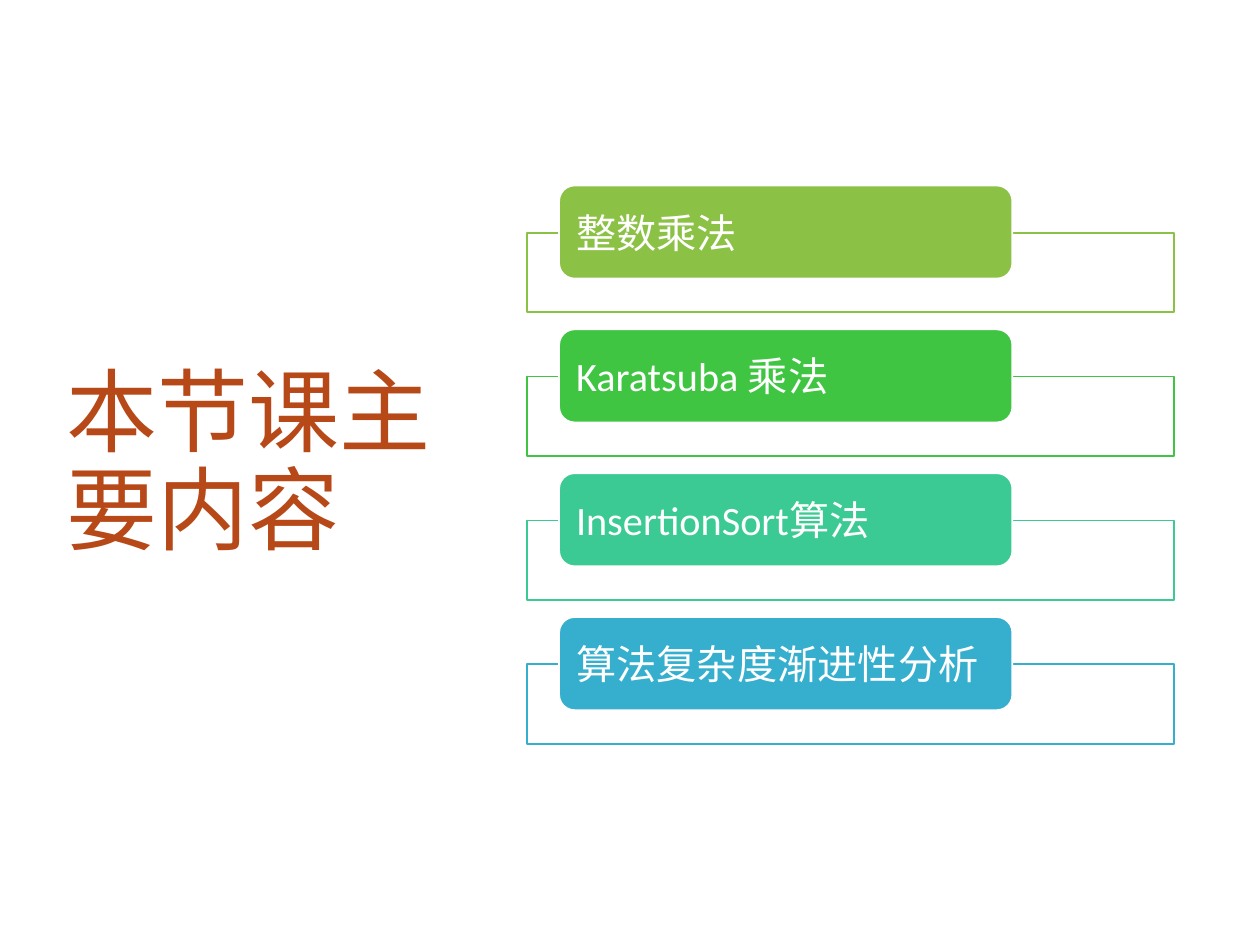
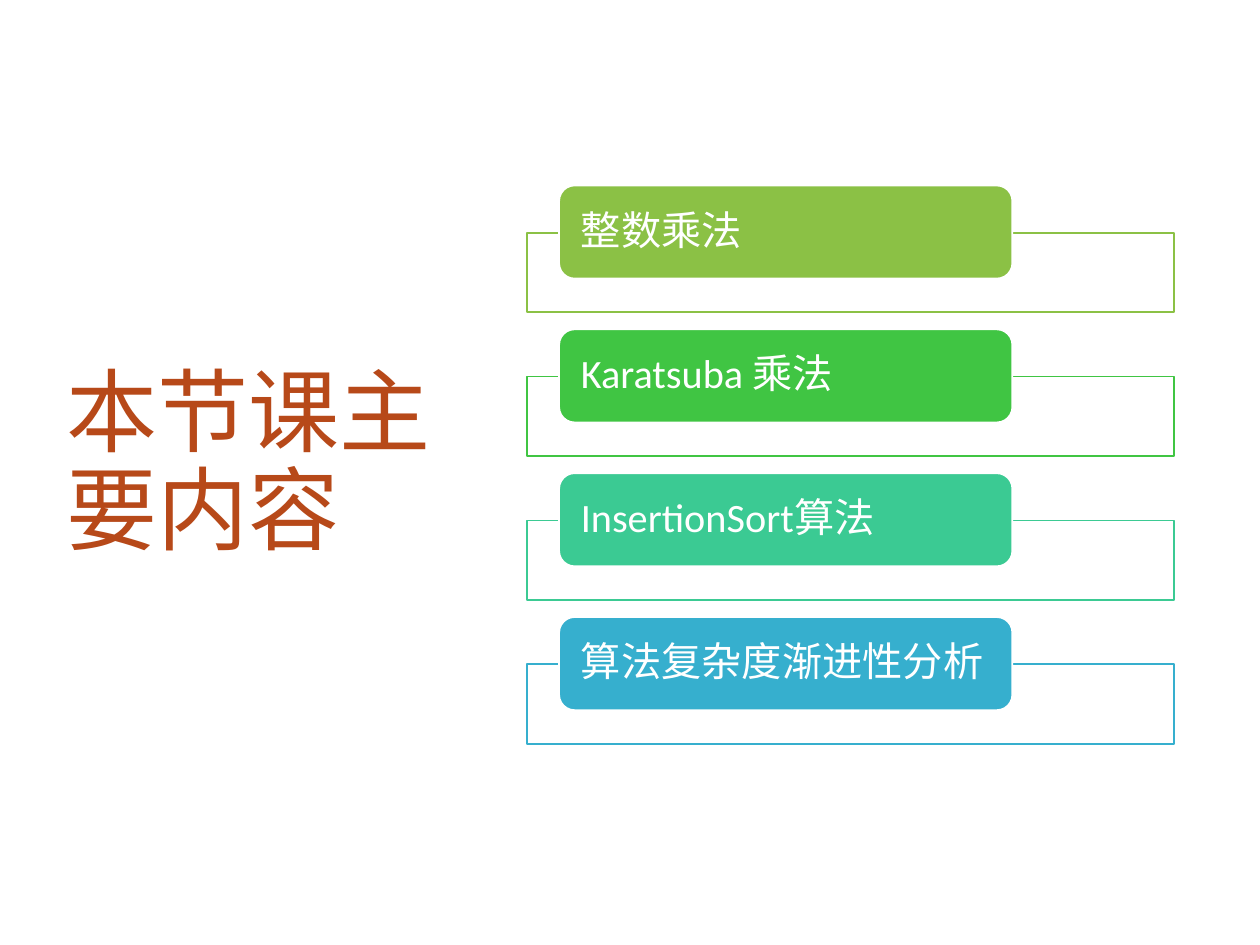
import pptx
import pptx.util
import pptx.dml.color
import pptx.enum.shapes
import pptx.enum.text
import pptx.oxml
import pptx.oxml.ns
import lxml.etree

Pt = pptx.util.Pt
FONT = "Calibri"
WHITE = "FFFFFF"
TITLE_COLOUR = "B74919"
TITLE = "本节课主要内容"
TITLE_BOX = (31, 49, 224.6, 433.4)
AGENDA_BOX = (301, 106, 370, 319)
TOPICS = [
    ("整数乘法", "8BC145"),
    ("Karatsuba 乘法", "40C543"),
    ("InsertionSort算法", "3BCA93"),
    ("算法复杂度渐进性分析", "36AFCE"),
]
TOPIC_PITCH = 82.2
LABEL_HEIGHT = 53.2
LABEL_INDENT = 18.5
LABEL_SHARE = 0.7
FRAME_DROP = 27
FRAME_HEIGHT = 45.4


def colour(hex_string):
    """Return the colour for a hex string."""
    return pptx.dml.color.RGBColor.from_string(hex_string)


def write(shape, text, size, hex_string, line_spacing):
    """Write one left-aligned, vertically centred paragraph into a shape."""
    frame = shape.text_frame
    frame.word_wrap = True
    frame.auto_size = pptx.enum.text.MSO_AUTO_SIZE.NONE
    frame.vertical_anchor = pptx.enum.text.MSO_ANCHOR.MIDDLE
    paragraph = frame.paragraphs[0]
    paragraph.alignment = pptx.enum.text.PP_ALIGN.LEFT
    paragraph.line_spacing = line_spacing
    run = paragraph.add_run()
    run.text = text
    run.font.name = FONT
    run.font.size = Pt(size)
    run.font.color.rgb = colour(hex_string)


def add_box(slide, kind, box, fill, line):
    """Add a filled and outlined preset shape without a shadow."""
    shape = slide.shapes.add_shape(kind, *map(Pt, box))
    shape.shadow.inherit = False
    shape.fill.solid()
    shape.fill.fore_color.rgb = colour(fill)
    shape.line.color.rgb = colour(line)
    shape.line.width = Pt(1)
    return shape


def set_opacity(shape, percent):
    """Set the opacity of a solid shape fill."""
    tag = pptx.oxml.ns.qn("a:srgbClr")
    fill_colour = shape.fill._xPr.find(pptx.oxml.ns.qn("a:solidFill")).find(tag)
    alpha = lxml.etree.SubElement(fill_colour, pptx.oxml.ns.qn("a:alpha"))
    alpha.set("val", str(percent * 1000))


def add_title(slide, box):
    """Place and format the title placeholder."""
    title = slide.shapes.title
    title.left, title.top, title.width, title.height = map(Pt, box)
    write(title, TITLE, 52, TITLE_COLOUR, 0.9)


def add_topic(slide, box, text, hex_string, inset, line_spacing):
    """Add a topic: an outlined frame with a coloured label across its top edge."""
    left, top, width, height = box
    kinds = pptx.enum.shapes.MSO_SHAPE
    frame_box = (left, top + FRAME_DROP, width, FRAME_HEIGHT)
    frame = add_box(slide, kinds.RECTANGLE, frame_box, WHITE, hex_string)
    set_opacity(frame, 90)
    label_box = (left + LABEL_INDENT, top, width * LABEL_SHARE, height)
    label = add_box(slide, kinds.ROUNDED_RECTANGLE, label_box, hex_string, WHITE)
    text_frame = label.text_frame
    text_frame.margin_left = text_frame.margin_right = Pt(inset)
    text_frame.margin_top = text_frame.margin_bottom = Pt(0)
    write(label, text, 23, WHITE, line_spacing)


def add_agenda(slide, box, inset, line_spacing):
    """Stack the topics at an equal pitch."""
    left, top, width, _ = box
    for index, (text, hex_string) in enumerate(TOPICS):
        topic_box = (left, top + index * TOPIC_PITCH, width, LABEL_HEIGHT)
        add_topic(slide, topic_box, text, hex_string, inset, line_spacing)


def add_agenda_slide(presentation, inset, line_spacing):
    """Add a slide with the title on the left and the agenda on the right."""
    slide = presentation.slides.add_slide(presentation.slide_layouts[5])
    add_title(slide, TITLE_BOX)
    add_agenda(slide, AGENDA_BOX, inset, line_spacing)


def main():
    """Build and save the presentation."""
    presentation = pptx.Presentation()
    presentation.slide_width = Pt(720)
    presentation.slide_height = Pt(540)
    add_agenda_slide(presentation, inset=7.2, line_spacing=1.0)
    add_agenda_slide(presentation, inset=9.8, line_spacing=0.9)
    presentation.save("out.pptx")


if __name__ == "__main__":
    main()
